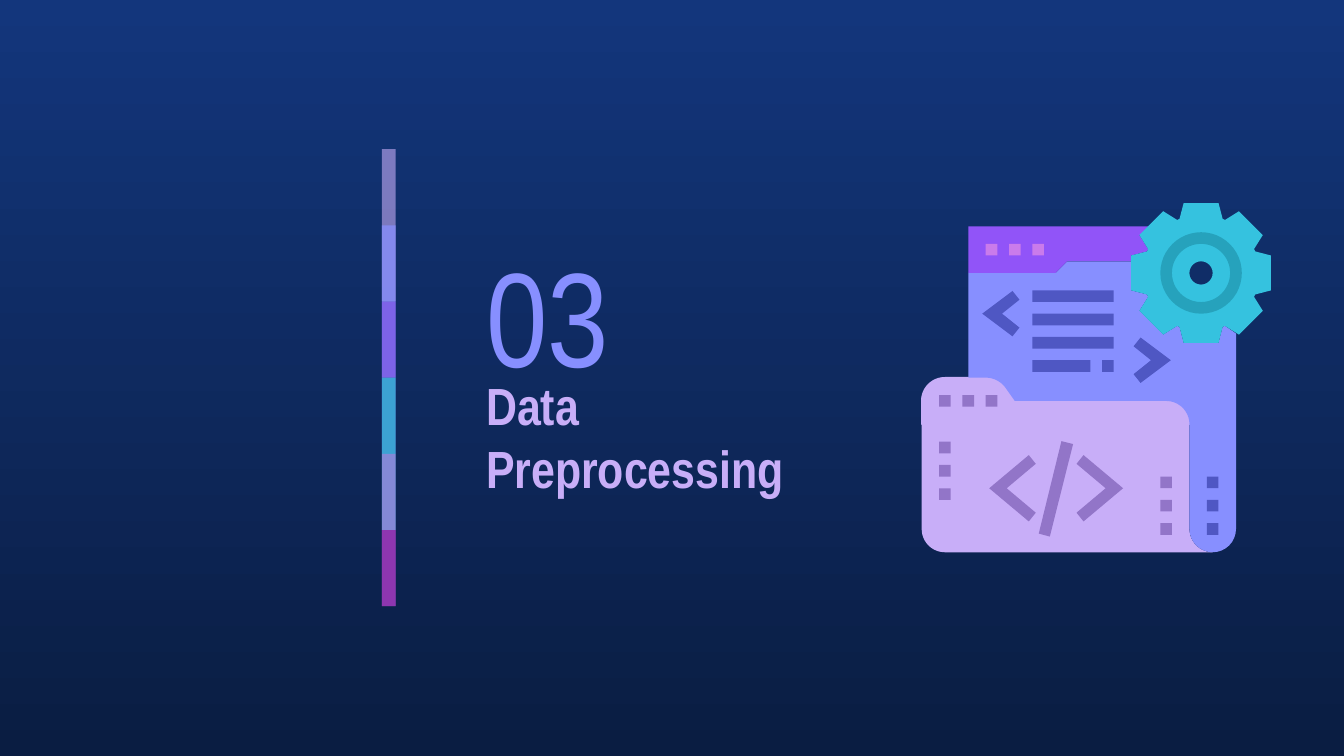
import math

import pptx
import pptx.dml.color
import pptx.enum.shapes
import pptx.enum.text
import pptx.oxml.ns
import pptx.util
from lxml import etree

Cm = pptx.util.Cm
SHAPE = pptx.enum.shapes.MSO_SHAPE

THEME = {
    "font": "Arial Narrow", "number_pt": 72, "title_pt": 28, "outline_pt": 0.75,
    "bg_top": "13367C", "bg_bottom": "0A1D42",
    "lilac": "C8AEF8", "blue": "878FFF", "violet": "9154F8", "teal": "35C2DF",
    "pink": "CA7BEB", "magenta": "972CB4",
    "dark_teal": "26A2BC", "dark_lilac": "9275C8", "dark_blue": "4F57C3",
}

# text, (left, top, width, height) and bottom inset in cm, size, colour, bold
TEXTS = [
    ("03", (8.94, 4.22, 4.45, 3.43), 0.25, "number_pt", "blue", False),
    ("Data Preprocessing", (8.94, 7.62, 7.29, 2.44), 1.45, "title_pt", "lilac", True),
]

# colour and opacity in percent, top to bottom
BANDS = [("lilac", 59), ("blue", 74), ("violet", 53),
         ("teal", 76), ("pink", 56), ("magenta", 74)]
BAND_LEFT, BAND_TOP, BAND_WIDTH, BAND_STEP = 7.22, 2.82, 0.26, 1.44

# The icon is drawn on a 30 x 30 grid
ICON_LEFT, ICON_TOP, UNIT = 17.42, 3.84, 0.22
GEAR_X, GEAR_Y = 24, 6
GEAR_QUARTER = [(-1.5, -6), (1.5, -6), (1.85, -4.65), (2.05, -4.55),
                (3.25, -5.3), (5.3, -3.25), (4.55, -2.05), (4.65, -1.85)]

# outer radius, inner radius, colour
GEAR_RINGS = [(3, 1, "teal"), (3.5, 2.5, "dark_teal")]

# tip x, middle y, direction, width, half height, notch depth, colour
CHEVRONS = [
    (5.2, 9.5, 1, 2.6, 1.95, 1.7, "dark_blue"),
    (21.4, 13.5, -1, 2.6, 1.95, 1.7, "dark_blue"),
    (17.3, 24.5, -1, 3.4, 2.85, 1.5, "dark_lilac"),
    (5.8, 24.5, 1, 3.4, 2.85, 1.5, "dark_lilac"),
]
SLASH = [(12, 20.45), (10.05, 28.4), (11, 28.65), (13, 20.7)]

# x, y, width of each code line
CODE_LINES = [(9.5, 7.5, 7), (9.5, 9.5, 7), (9.5, 11.5, 7), (9.5, 13.5, 5), (15.5, 13.5, 1)]

# first x, first y, step x, step y, colour: three dots each
DOT_ROWS = [
    (5.5, 3.5, 2, 0, "pink"),
    (1.5, 16.5, 2, 0, "dark_lilac"),
    (1.5, 20.5, 0, 2, "dark_lilac"),
    (20.5, 23.5, 0, 2, "dark_lilac"),
    (24.5, 23.5, 0, 2, "dark_blue"),
]


def color(name):
    return pptx.dml.color.RGBColor.from_string(THEME[name])


def arc(cx, cy, r, start, end, steps=16):
    """Points along a circle, in degrees clockwise from the right."""
    angles = [math.radians(start + (end - start) * i / steps) for i in range(steps + 1)]
    return [(cx + r * math.cos(a), cy + r * math.sin(a)) for a in angles]


def paint(s, name, outline=False):
    s.shadow.inherit = False
    s.fill.solid()
    s.fill.fore_color.rgb = color(name)
    if outline:
        s.line.color.rgb = color(name)
        s.line.width = pptx.util.Pt(THEME["outline_pt"])
    else:
        s.line.fill.background()
    return s


def icon_point(point):
    return Cm(ICON_LEFT + point[0] * UNIT), Cm(ICON_TOP + point[1] * UNIT)


def outline_shape(group, name, *contours, outline=False):
    """Draw closed contours given in icon units; later contours cut holes."""
    first, *holes = [[icon_point(p) for p in c] for c in contours]
    builder = group.shapes.build_freeform(*first[0])
    builder.add_line_segments(first[1:], close=True)
    for hole in holes:
        builder.move_to(*hole[0])
        builder.add_line_segments(hole[1:], close=True)
    paint(builder.convert_to_shape(), name, outline)


def icon_preset(group, kind, x, y, width, height, name):
    s = group.shapes.add_shape(kind, *icon_point((x, y)), Cm(width * UNIT), Cm(height * UNIT))
    return paint(s, name)


def gear_outline():
    points, quarter = [], GEAR_QUARTER
    for _ in range(4):
        points += [(GEAR_X + x, GEAR_Y + y) for x, y in quarter]
        quarter = [(-y, x) for x, y in quarter]
    return points


def chevron(tip, mid, direction, width, half, notch):
    upper = [(0, 0), (width, -half), (width + 0.6, 0.75 - half), (notch, 0)]
    lower = [(x, -y) for x, y in upper[2:0:-1]]
    return [(tip + direction * x, mid + y) for x, y in upper + lower]


def add_icon(slide):
    group = slide.shapes.add_group_shape()
    gear = gear_outline()
    tab_slope = arc(5.5, 17.1, 2.1, -90, -38) + [(8, 17)]
    folder_corner = arc(21, 19, 2, -90, 0)
    header_step = [(4, 6), (11.5, 6), (12.5, 5), (18, 5)]

    outline_shape(group, "lilac", [(0, 19)] + arc(2, 28, 2, 180, 90)
                  + arc(25, 28, 2, 90, 180) + [(23, 19)])
    outline_shape(group, "lilac", [(0, 19)] + arc(2, 17, 2, 180, 270)
                  + tab_slope + folder_corner, outline=True)
    # The page follows the gear from its lower right tooth to its left tooth
    outline_shape(group, "blue", header_step[::-1] + [(4, 15)] + tab_slope + folder_corner
                  + arc(25, 28, 2, 180, 0) + [(27, 11.2)] + gear[14:25])
    # The header meets the gear at its upper left teeth
    outline_shape(group, "violet", [(4, 2)] + header_step + gear[25:29] + [(19.5, 2)])
    outline_shape(group, "teal", gear, arc(GEAR_X, GEAR_Y, 3, 360, 0, 48))
    for outer, inner, name in GEAR_RINGS:
        s = icon_preset(group, SHAPE.DONUT, GEAR_X - outer, GEAR_Y - outer,
                        2 * outer, 2 * outer, name)
        s.adjustments[0] = (outer - inner) / (2 * outer)

    for *geometry, name in CHEVRONS:
        outline_shape(group, name, chevron(*geometry))
    outline_shape(group, "dark_lilac", SLASH)
    for x, y, width in CODE_LINES:
        icon_preset(group, SHAPE.RECTANGLE, x, y, width, 1, "dark_blue")
    for x, y, dx, dy, name in DOT_ROWS:
        for i in range(3):
            icon_preset(group, SHAPE.RECTANGLE, x + i * dx, y + i * dy, 1, 1, name)


def add_bands(slide):
    """Stack translucent bands, each reaching down behind the next one."""
    group = slide.shapes.add_group_shape()
    for i, (name, opacity) in enumerate(BANDS):
        height = min(2, len(BANDS) - i) * BAND_STEP
        s = group.shapes.add_shape(SHAPE.RECTANGLE, Cm(BAND_LEFT), Cm(BAND_TOP + i * BAND_STEP),
                                   Cm(BAND_WIDTH), Cm(height))
        paint(s, name)
        qn = pptx.oxml.ns.qn
        fill = s.element.spPr.find(qn("a:solidFill")).find(qn("a:srgbClr"))
        etree.SubElement(fill, qn("a:alpha"), val=str(opacity * 1000))


def add_text(slide, text, box, bottom_inset, size, name, bold):
    tf = slide.shapes.add_textbox(*map(Cm, box)).text_frame
    tf.word_wrap = True
    tf.vertical_anchor = pptx.enum.text.MSO_ANCHOR.MIDDLE
    tf.margin_left = tf.margin_right = tf.margin_top = Cm(0.25)
    tf.margin_bottom = Cm(bottom_inset)
    tf.text = text
    font = tf.paragraphs[0].runs[0].font
    font.name, font.size, font.bold = THEME["font"], pptx.util.Pt(THEME[size]), bold
    font.color.rgb = color(name)


def main():
    prs = pptx.Presentation()
    prs.slide_width, prs.slide_height = Cm(25.4), Cm(14.29)
    slide = prs.slides.add_slide(prs.slide_layouts[6])
    fill = slide.background.fill
    fill.gradient()
    fill.gradient_angle = 270
    for stop, position, name in zip(fill.gradient_stops, (0, 1), ("bg_top", "bg_bottom")):
        stop.position = position
        stop.color.rgb = color(name)
    for item in TEXTS:
        add_text(slide, *item)
    add_icon(slide)
    add_bands(slide)
    prs.save("out.pptx")


if __name__ == "__main__":
    main()
